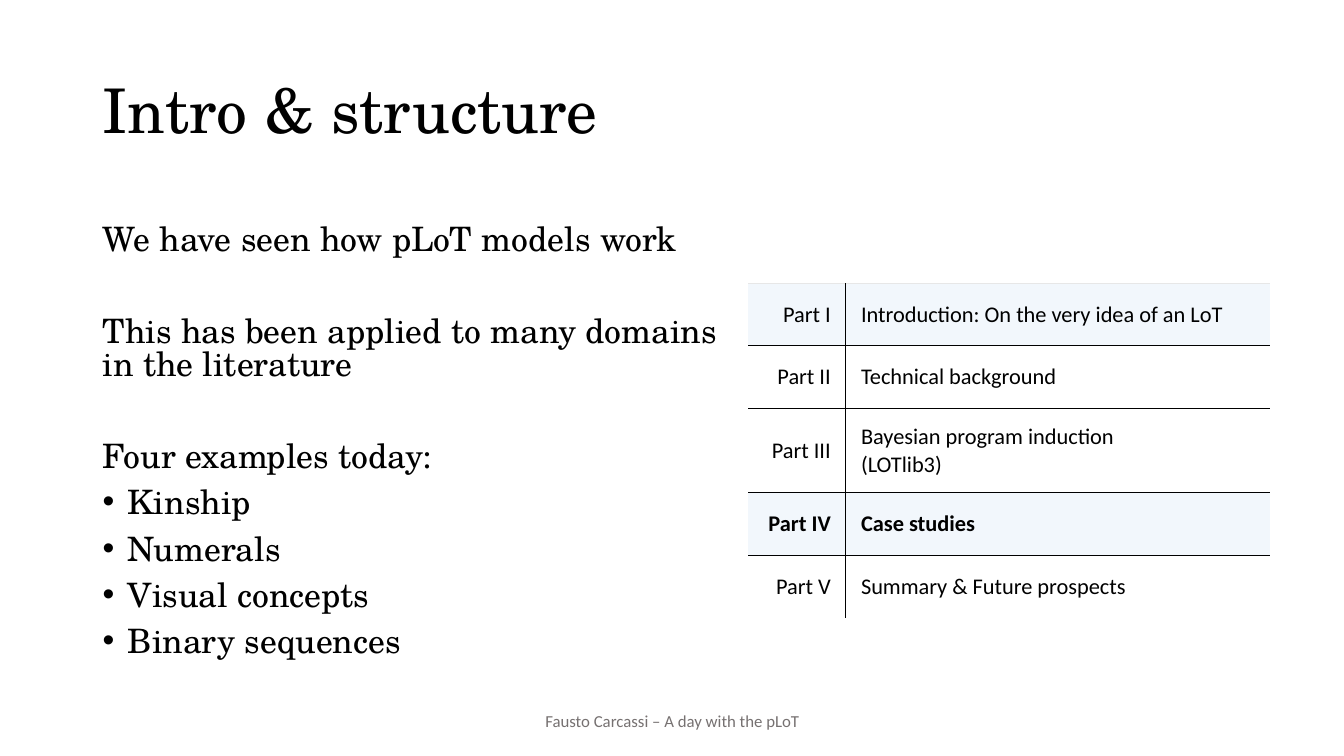
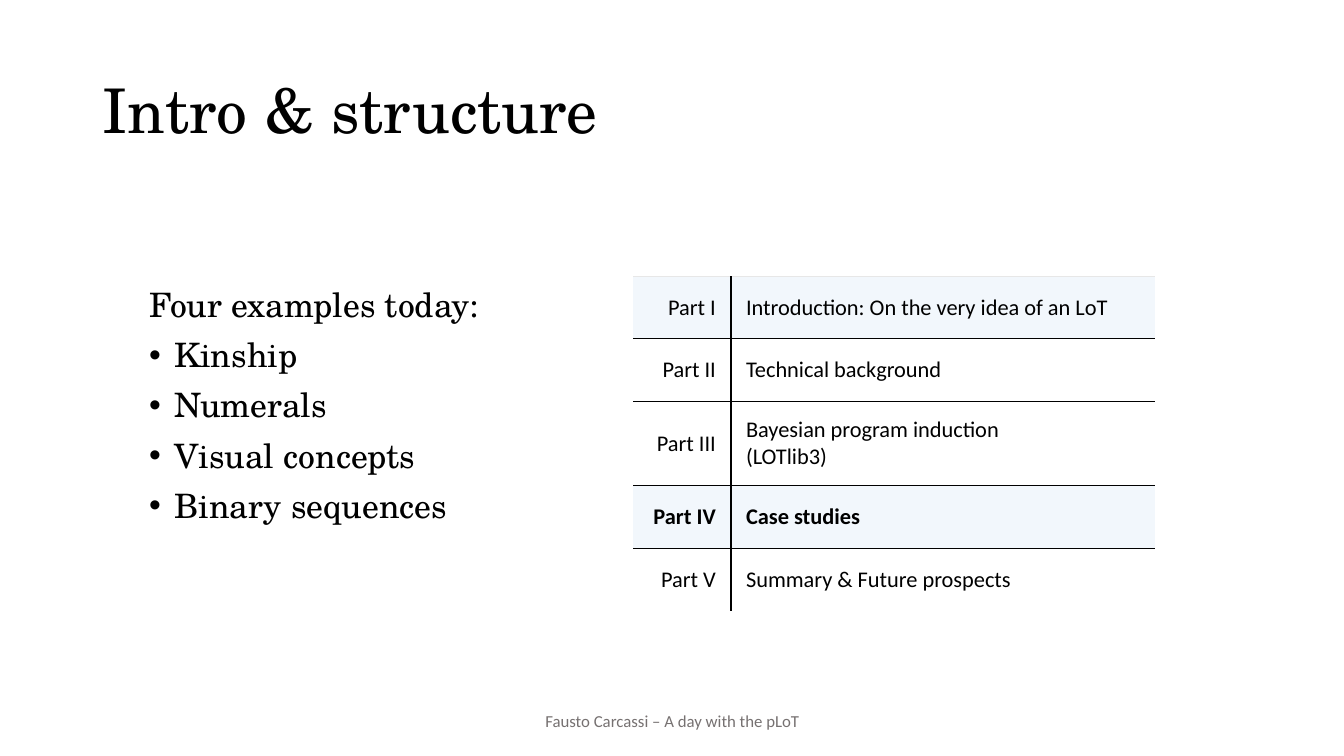
from pptx import Presentation
from pptx.dml.color import RGBColor
from pptx.enum.text import MSO_ANCHOR, PP_ALIGN
from pptx.oxml.ns import qn
from pptx.util import Inches, Pt
from lxml.etree import SubElement

COLORS = {"text": "000000", "footer": "767171", "line": "000000",
          "top_line": "E7E7E7", "band": "F2F7FC", "plain": "FFFFFF"}
FONTS = {"heading": "TeX Gyre Schola", "label": "Calibri"}

TITLE_FORMAT = {"name": FONTS["heading"], "size": Pt(44), "color": "text"}
BODY_FORMAT = {"name": FONTS["heading"], "size": Pt(24), "color": "text"}
FOOTER_FORMAT = {"name": FONTS["label"], "size": Pt(12), "color": "footer"}
CELL_FORMAT = {"name": FONTS["label"], "size": Pt(16), "color": "text"}

TITLE_BOX = (0.92, 0.4, 11.5, 1.45)
FOOTER_BOX = (4.42, 6.95, 4.5, 0.4)
COLUMN_WIDTHS = (0.97, 4.21)
LINE_HEIGHT, EXTRA_LINE = 0.62, 0.22
CELL_MARGIN = 0.15
INDENT = 0.25
ITEM_GAP, SECTION_GAP = 10, 43

PARTS = [
    ("Part I", ["Introduction: On the very idea of an LoT"]),
    ("Part II", ["Technical background"]),
    ("Part III", ["Bayesian program induction", "(LOTlib3)"]),
    ("Part IV", ["Case studies"]),
    ("Part V", ["Summary & Future prospects"]),
]
BANDED_PARTS = {"Part I", "Part IV"}
CURRENT_PART = "Part IV"

STATEMENTS = ["We have seen how pLoT models work",
              "This has been applied to many domains in the literature"]
EXAMPLES_HEADING = "Four examples today:"
EXAMPLES = ["Kinship", "Numerals", "Visual concepts", "Binary sequences"]

SLIDES = [
    {"statements": STATEMENTS, "text_box": (0.92, 2.19, 6.37, 4.56),
     "line_spacing": 0.8, "table_corner": (7.42, 2.81)},
    {"statements": [], "text_box": (1.38, 2.81, 5.59, 3.94),
     "line_spacing": 0.9, "table_corner": (6.28, 2.74)},
]


def format_font(font, values):
    for name, value in values.items():
        if name == "color":
            font.color.rgb = RGBColor.from_string(COLORS[value])
        else:
            setattr(font, name, value)


def fill_paragraphs(frame, texts):
    """Write one paragraph per text and yield each for formatting."""
    for index, text in enumerate(texts):
        paragraph = frame.paragraphs[0] if index == 0 else frame.add_paragraph()
        paragraph.text = text
        yield paragraph


def add_text_frame(slide, box, anchor):
    frame = slide.shapes.add_textbox(*map(Inches, box)).text_frame
    frame.word_wrap = True
    frame.vertical_anchor = anchor
    return frame


def add_line(slide, box, text, values, alignment, line_spacing=1.0):
    frame = add_text_frame(slide, box, MSO_ANCHOR.MIDDLE)
    for paragraph in fill_paragraphs(frame, [text]):
        paragraph.alignment = alignment
        paragraph.line_spacing = line_spacing
        format_font(paragraph.font, values)


def add_bullet(paragraph):
    properties = paragraph._p.get_or_add_pPr()
    properties.set("marL", str(Inches(INDENT)))
    properties.set("indent", str(-Inches(INDENT)))
    SubElement(properties, qn("a:buFont")).set("typeface", "Arial")
    SubElement(properties, qn("a:buChar")).set("char", "•")


def add_outline(slide, box, statements, line_spacing):
    """Statements set apart from each other, then the bulleted examples."""
    frame = add_text_frame(slide, box, MSO_ANCHOR.TOP)
    sections = statements + [EXAMPLES_HEADING]
    for index, paragraph in enumerate(fill_paragraphs(frame, sections + EXAMPLES)):
        is_example = index >= len(sections)
        if is_example:
            add_bullet(paragraph)
        if index > 0:
            paragraph.space_before = Pt(ITEM_GAP if is_example else SECTION_GAP)
        paragraph.line_spacing = line_spacing
        format_font(paragraph.font, BODY_FORMAT)


def set_borders(cell, borders):
    """Draw the given sides as (colour, points); clear the others."""
    properties = cell._tc.get_or_add_tcPr()
    for side in "LRTB":
        line = SubElement(properties, qn(f"a:ln{side}"))
        if side in borders:
            color, width = borders[side]
            line.set("w", str(Pt(width)))
            fill = SubElement(line, qn("a:solidFill"))
            SubElement(fill, qn("a:srgbClr")).set("val", COLORS[color])
        else:
            line.set("w", "0")
            SubElement(line, qn("a:noFill"))


def format_cell(cell, lines, alignment, borders, fill, bold):
    set_borders(cell, borders)
    cell.fill.solid()
    cell.fill.fore_color.rgb = RGBColor.from_string(COLORS[fill])
    cell.vertical_anchor = MSO_ANCHOR.MIDDLE
    for side in ("left", "right", "top", "bottom"):
        setattr(cell, f"margin_{side}", Inches(CELL_MARGIN))
    for paragraph in fill_paragraphs(cell.text_frame, lines):
        paragraph.alignment = alignment
        format_font(paragraph.font, {**CELL_FORMAT, "bold": bold})


def add_parts_table(slide, corner):
    heights = [LINE_HEIGHT + EXTRA_LINE * (len(lines) - 1) for _, lines in PARTS]
    box = (*corner, sum(COLUMN_WIDTHS), sum(heights))
    table = slide.shapes.add_table(
        len(PARTS), len(COLUMN_WIDTHS), *map(Inches, box)).table
    table.first_row = table.horz_banding = False
    for column, width in zip(table.columns, COLUMN_WIDTHS):
        column.width = Inches(width)
    for index, (part, lines) in enumerate(PARTS):
        table.rows[index].height = Inches(heights[index])
        borders = {"T": ("line", 1) if index else ("top_line", 0.3)}
        if index < len(PARTS) - 1:
            borders["B"] = ("line", 1)
        fill = "band" if part in BANDED_PARTS else "plain"
        columns = [([part], PP_ALIGN.RIGHT, "R"), (lines, PP_ALIGN.LEFT, "L")]
        for column, (texts, alignment, inner_side) in enumerate(columns):
            format_cell(table.cell(index, column), texts, alignment,
                        {**borders, inner_side: ("line", 1)}, fill,
                        part == CURRENT_PART)


def add_structure_slide(presentation, statements, text_box, line_spacing,
                        table_corner):
    slide = presentation.slides.add_slide(presentation.slide_layouts[6])
    add_line(slide, TITLE_BOX, "Intro & structure", TITLE_FORMAT,
             PP_ALIGN.LEFT, 0.9)
    add_outline(slide, text_box, statements, line_spacing)
    add_line(slide, FOOTER_BOX, "Fausto Carcassi – A day with the pLoT",
             FOOTER_FORMAT, PP_ALIGN.CENTER)
    add_parts_table(slide, table_corner)


def main():
    presentation = Presentation()
    presentation.slide_width = Inches(13.33)
    presentation.slide_height = Inches(7.5)
    for content in SLIDES:
        add_structure_slide(presentation, **content)
    presentation.save("out.pptx")


if __name__ == "__main__":
    main()
